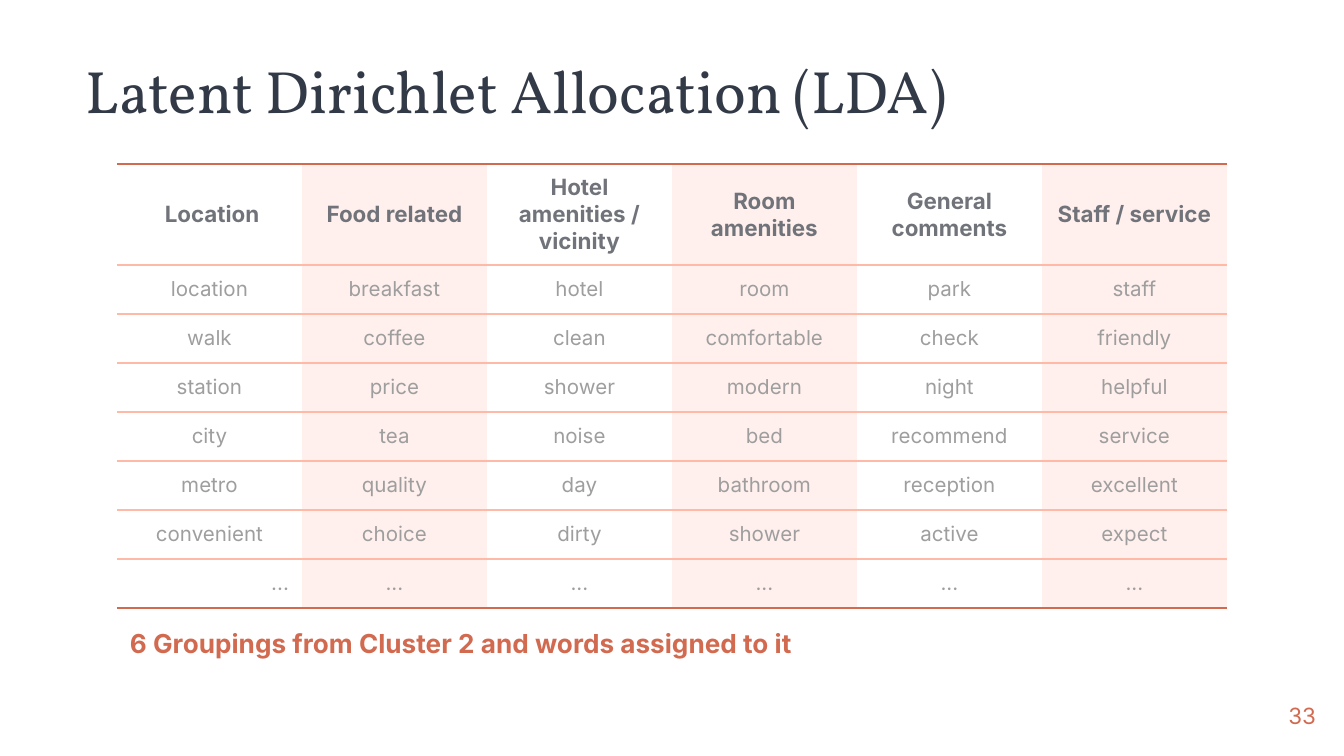
from lxml.etree import SubElement
from pptx import Presentation
from pptx.dml.color import RGBColor
from pptx.enum.text import MSO_ANCHOR, PP_ALIGN
from pptx.oxml.ns import qn
from pptx.util import Emu, Pt

CORAL, PEACH, BLUSH = "D26A50", "FFB9A7", "FFF0ED"
NAVY, SLATE, GREY = "333A47", "707379", "9E9E9E"
COLUMN_WIDTH, HEADER_HEIGHT, ROW_HEIGHT = 185, 101, 49
TOPICS = [
    (" Location", "location", "walk", "station", "city", "metro", "convenient", "..."),
    ("Food related", "breakfast", "coffee", "price", "tea", "quality", "choice", "..."),
    ("Hotel amenities / vicinity", "hotel", "clean", "shower", "noise", "day", "dirty", "..."),
    ("Room amenities", "room", "comfortable", "modern", "bed", "bathroom", "shower", "..."),
    ("General comments", "park", "check", "night", "recommend", "reception", "active", "..."),
    ("Staff / service", "staff", "friendly", "helpful", "service", "excellent", "expect", "..."),
]


def px(length):
    """Turn pixels into EMU."""
    return Emu(round(length * 914400 / 134.4))


def color(value):
    """Turn a hex string into a colour."""
    return RGBColor.from_string(value)


def format_text(frame, text, size, ink, font="Inter", bold=False, align=PP_ALIGN.LEFT):
    """Write one paragraph and format it."""
    frame.text = text
    para = frame.paragraphs[0]
    para.alignment = align
    span = para.runs[0]
    span.font.name = font
    span.font.size = Pt(size)
    span.font.bold = bold
    span.font.color.rgb = color(ink)
    return para


def add_text(page, place, text, size, ink, inset=0, anchor=MSO_ANCHOR.MIDDLE, **style):
    """Add a wrapping text box and return its paragraph."""
    box = page.shapes.add_textbox(*map(px, place))
    frame = box.text_frame
    frame.word_wrap = True
    frame.vertical_anchor = anchor
    frame.margin_left = frame.margin_right = px(inset)
    frame.margin_top = frame.margin_bottom = px(inset)
    return format_text(frame, text, size, ink, **style)


def set_borders(cell, top, bottom):
    """Draw the horizontal borders and hide the vertical ones."""
    properties = cell._tc.get_or_add_tcPr()
    for side, ink in (("L", None), ("R", None), ("T", top), ("B", bottom)):
        line = SubElement(properties, qn(f"a:ln{side}"), w=str(Pt(0.75)))
        if ink:
            fill = SubElement(line, qn("a:solidFill"))
            SubElement(fill, qn("a:srgbClr"), val=ink)
        else:
            SubElement(line, qn("a:noFill"))


def fill_cell(cell, text, row, column, last_row):
    """Write and style one table cell."""
    set_borders(cell, PEACH if row else CORAL, CORAL if row == last_row else PEACH)
    if column % 2:
        cell.fill.solid()
        cell.fill.fore_color.rgb = color(BLUSH)
    else:
        cell.fill.background()
    cell.vertical_anchor = MSO_ANCHOR.MIDDLE
    cell.margin_left = cell.margin_right = px(13)
    cell.margin_top = cell.margin_bottom = px(9)
    corner = row == last_row and column == 0
    align = PP_ALIGN.RIGHT if corner else PP_ALIGN.CENTER
    size, ink = (11, GREY) if row else (12, SLATE)
    format_text(cell.text_frame, text, size, ink, bold=row == 0, align=align)


def add_topic_table(page, left, top):
    """Add the table with one topic in each column."""
    row_count = len(TOPICS[0])
    width = COLUMN_WIDTH * len(TOPICS)
    height = HEADER_HEIGHT + ROW_HEIGHT * (row_count - 1)
    place = map(px, (left, top, width, height))
    table = page.shapes.add_table(row_count, len(TOPICS), *place).table
    table.first_row = table.horz_banding = False
    for index, row in enumerate(table.rows):
        row.height = px(ROW_HEIGHT if index else HEADER_HEIGHT)
    for column, words in enumerate(TOPICS):
        table.columns[column].width = px(COLUMN_WIDTH)
        for row, word in enumerate(words):
            fill_cell(table.cell(row, column), word, row, column, row_count - 1)


def main():
    """Build the slide and save it."""
    deck = Presentation()
    deck.slide_width, deck.slide_height = px(1344), px(756)
    page = deck.slides.add_slide(deck.slide_layouts[6])
    add_text(page, (1235, 687, 81, 58), "33", 12, CORAL, align=PP_ALIGN.RIGHT)
    title = add_text(page, (86, 59, 914, 71), "Latent Dirichlet Allocation (LDA)",
                     32, NAVY, font="Vollkorn")
    title.line_spacing = 0.9
    add_topic_table(page, 117, 164)
    add_text(page, (117, 614, 757, 59), "6 Groupings from Cluster 2 and words assigned to it",
             14, CORAL, inset=13, anchor=MSO_ANCHOR.TOP, bold=True)
    deck.save("out.pptx")


if __name__ == "__main__":
    main()
